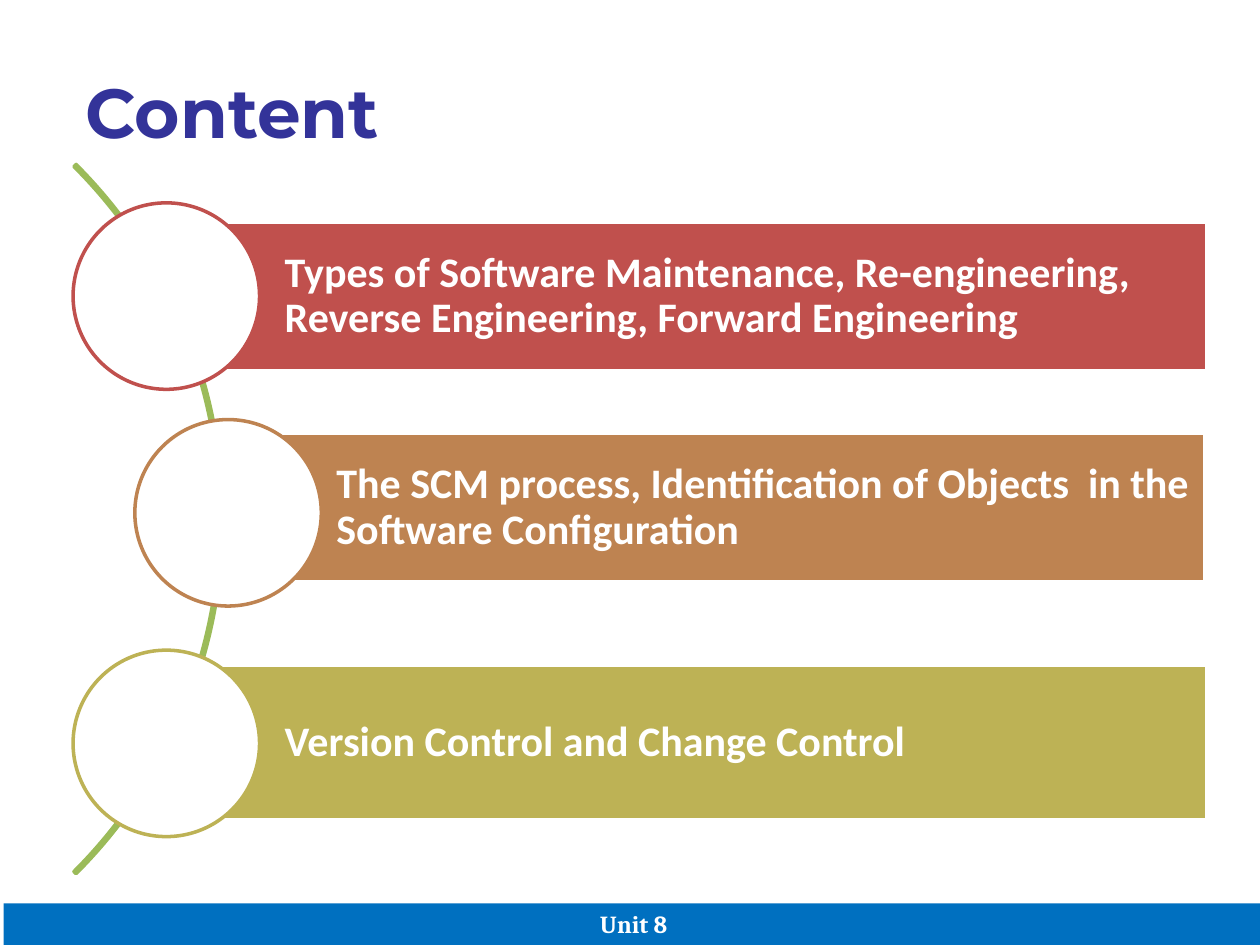
from pptx import Presentation
from pptx.dml.color import RGBColor
from pptx.enum.shapes import MSO_SHAPE
from pptx.enum.text import MSO_ANCHOR, PP_ALIGN
from pptx.util import Inches, Pt

COLUMNS, ROWS = 1000, 750
SLIDE_WIDTH, SLIDE_HEIGHT = Inches(10), Inches(7.5)

WHITE = RGBColor(0xFF, 0xFF, 0xFF)
NAVY = RGBColor(0x33, 0x33, 0x99)
GREEN = RGBColor(0x9B, 0xBB, 0x59)
RED = RGBColor(0xC0, 0x50, 0x4D)
BROWN = RGBColor(0xBE, 0x83, 0x51)
OLIVE = RGBColor(0xBD, 0xB2, 0x55)
BLUE = RGBColor(0x00, 0x70, 0xC0)

CIRCLE_SIZE = 148
TOPICS = [
    ("Types of Software Maintenance, Re-engineering, Reverse Engineering, Forward Engineering",
     RED, (132, 176, 826, 118), (58, 161)),
    ("The SCM process, Identification of Objects  in the Software Configuration",
     BROWN, (173, 344, 783, 118), (107, 333)),
    ("Version Control and Change Control",
     OLIVE, (132, 528, 826, 123), (58, 516)),
]

TITLE_FONT = {"name": "Montserrat", "size": Pt(39.6), "bold": True}
TOPIC_FONT = {"name": "Calibri", "size": Pt(24), "bold": True}
FOOTER_FONT = {"name": "Cambria", "size": Pt(14), "bold": True}
TOPIC_FRAME = {
    "margin_left": Inches(0.94), "margin_right": Inches(0.07),
    "margin_top": Inches(0.07), "margin_bottom": Inches(0.07),
    "vertical_anchor": MSO_ANCHOR.MIDDLE,
}


def place(left, top, width, height):
    column, row = SLIDE_WIDTH // COLUMNS, SLIDE_HEIGHT // ROWS
    return left * column, top * row, width * column, height * row


def apply_format(target, values):
    for name, value in values.items():
        setattr(target, name, value)


def add_figure(slide, kind, cells, fill=None, line=None):
    shape = slide.shapes.add_shape(kind, *place(*cells))
    shape.shadow.inherit = False
    if fill is None:
        shape.fill.background()
    else:
        shape.fill.solid()
        shape.fill.fore_color.rgb = fill
    if line is None:
        shape.line.fill.background()
    else:
        shape.line.color.rgb = line
        shape.line.width = Pt(2)
    return shape


def write_text(shape, text, font, color, frame, paragraph_format):
    apply_format(shape.text_frame, {"word_wrap": True, **frame})
    paragraph = shape.text_frame.paragraphs[0]
    apply_format(paragraph, paragraph_format)
    run = paragraph.add_run()
    run.text = text
    apply_format(run.font, font)
    run.font.color.rgb = color


def add_title(slide, text):
    shape = slide.shapes.add_textbox(*place(58, 50, 900, 70))
    write_text(shape, text, TITLE_FONT, NAVY,
               {"vertical_anchor": MSO_ANCHOR.TOP}, {"alignment": PP_ALIGN.LEFT})


def add_arc(slide):
    arc = add_figure(slide, MSO_SHAPE.BLOCK_ARC, (-619, 14, 796, 796), line=GREEN)
    for index, value in enumerate((189, 27, 0.003)):
        arc.adjustments[index] = value


def add_topic(slide, text, color, bar_cells, circle_corner):
    bar = add_figure(slide, MSO_SHAPE.RECTANGLE, bar_cells, color, WHITE)
    write_text(bar, text, TOPIC_FONT, WHITE, TOPIC_FRAME,
               {"alignment": PP_ALIGN.LEFT, "line_spacing": 0.9})
    circle_cells = (*circle_corner, CIRCLE_SIZE, CIRCLE_SIZE)
    add_figure(slide, MSO_SHAPE.OVAL, circle_cells, WHITE, color)


def add_footer(slide, text):
    footer = add_figure(slide, MSO_SHAPE.RECTANGLE, (3, 717, 1000, 33), BLUE)
    write_text(footer, text, FOOTER_FONT, WHITE,
               {"vertical_anchor": MSO_ANCHOR.BOTTOM}, {"alignment": PP_ALIGN.CENTER})


def main():
    presentation = Presentation()
    apply_format(presentation, {"slide_width": SLIDE_WIDTH, "slide_height": SLIDE_HEIGHT})
    slide = presentation.slides.add_slide(presentation.slide_layouts[6])
    add_title(slide, "Content")
    add_arc(slide)
    for topic in TOPICS:
        add_topic(slide, *topic)
    add_footer(slide, "Unit 8")
    presentation.save("out.pptx")


if __name__ == "__main__":
    main()
